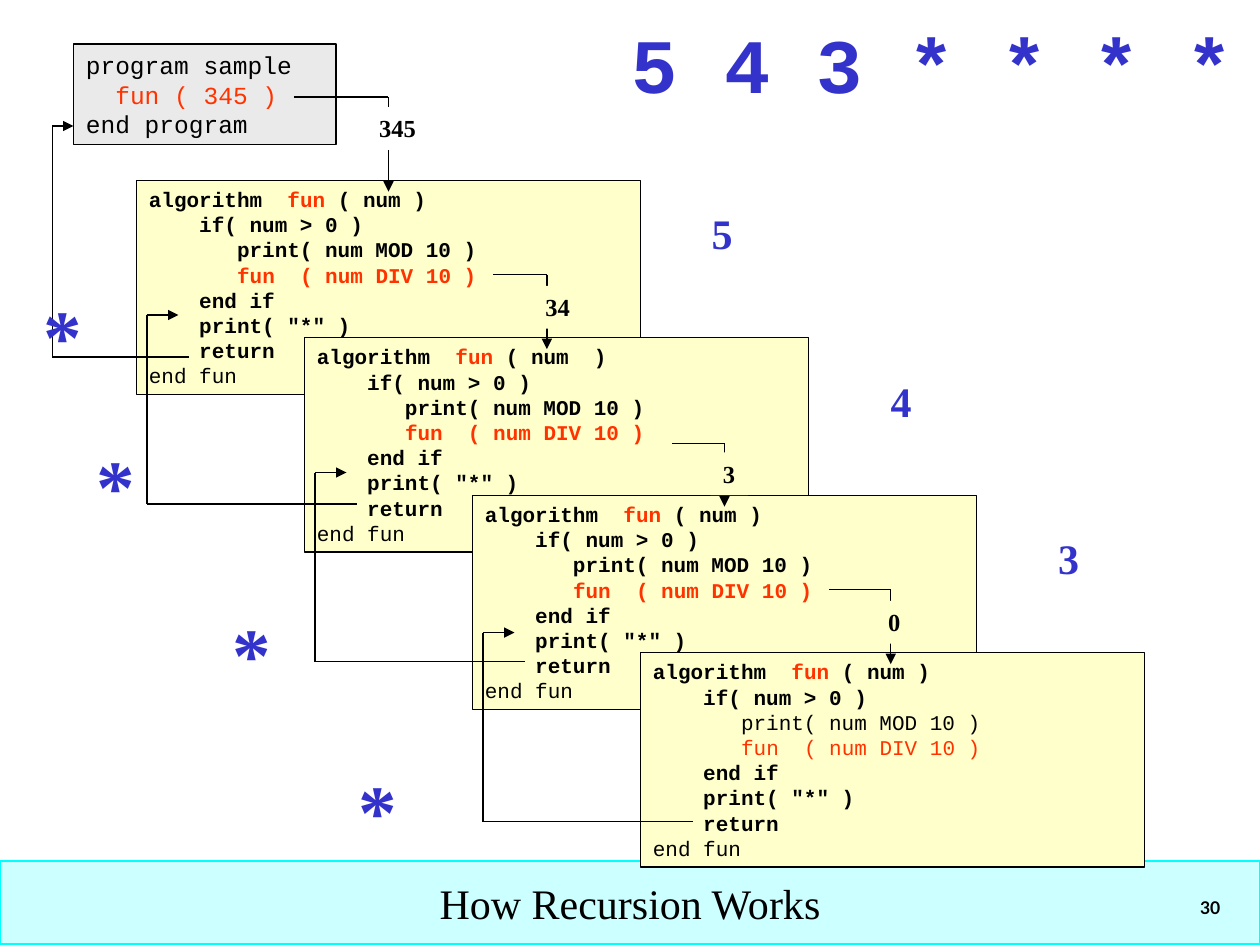
from itertools import pairwise

from lxml import etree
from pptx import Presentation
from pptx.dml.color import RGBColor
from pptx.enum import shapes, text
from pptx.oxml.ns import qn
from pptx.util import Pt

BLACK = RGBColor(0, 0, 0)
WHITE = RGBColor(0xFF, 0xFF, 0xFF)
RED = RGBColor(0xFF, 0x33, 0x00)
BLUE = RGBColor(0x33, 0x33, 0xCC)
CREAM = RGBColor(0xFF, 0xFF, 0xCC)
GREY = RGBColor(0xEA, 0xEA, 0xEA)
AQUA = RGBColor(0xCC, 0xFF, 0xFF)
CYAN = RGBColor(0x00, 0xFF, 0xFF)
SERIF, MONO, SANS = "Times New Roman", "Courier New", "Lato"

TITLE = "How Recursion Works"
PAGE_NUMBER = "30"
OUTPUT = "5 4 3 * * * *"

# A line is a list of spans: (text, colour, bold)
PROGRAM = [
    [("program sample", BLACK, False)],
    [("  ", BLACK, False), ("fun ( 345 )", RED, False)],
    [("end program", BLACK, False)],
]
FRAME_LEFT, FRAME_TOP = 78, 103
STEP_X, STEP_Y = 96, 90
FRAME_SIZE = (288, 122.4)
# Argument as written in the heading, and whether the recursive branch runs
FRAMES = [("( num )", True), ("( num  )", True), ("( num )", True), ("( num )", False)]

# Passed value, line start x, line y, arrow x, label (left, top, width), label fill
CALLS = [
    ("345", 168, 55.5, 222, (209.5, 61.2, 35.3), WHITE),
    ("34", 282, 157, 312.5, (304.6, 163.4, 28), CREAM),
    ("3", 384, 253.5, 414, (406, 258.5, 21.6), CREAM),
    ("0", 474, 337, 509, (500.4, 343.4, 21.6), CREAM),
]
# Line start y, trunk x, arrow y, arrow tip x
RETURNS = [
    (204, 30, 72, 42),
    (288, 84, 180, 102),
    (378, 180, 270, 198),
    (469.5, 276, 361.5, 294),
]
PRINTED_DIGITS = [("5", 399.6, 115.2), ("4", 501.8, 211), ("3", 597.6, 301)]
PRINTED_STARS = [(18, 161), (48, 246.6), (126, 342.4), (198, 432.4)]


def frame_code(argument, runs):
    return [
        [("algorithm  ", BLACK, True), ("fun ", RED, True), (argument, BLACK, True)],
        [("    if( num > 0 )", BLACK, True)],
        [("       print( num MOD 10 )", BLACK, runs)],
        [("       ", BLACK, runs), ("fun  ( num DIV 10 )", RED, runs)],
        [("    end if", BLACK, True)],
        [('    print( "*" )', BLACK, True)],
        [("    return", BLACK, True)],
        [("end fun", BLACK, False)],
    ]


def add_box(page, area, lines, font, size, fill=None, line=None, wrap=True,
            align=text.PP_ALIGN.LEFT, anchor=text.MSO_ANCHOR.TOP):
    """Add a rectangle, or a text box when there is no fill, holding lines of spans."""
    area = [Pt(value) for value in area]
    if fill is None:
        box = page.shapes.add_textbox(*area)
    else:
        box = page.shapes.add_shape(shapes.MSO_SHAPE.RECTANGLE, *area)
        box.shadow.inherit = False
        box.fill.solid()
        box.fill.fore_color.rgb = fill
        if line is None:
            box.line.fill.background()
        else:
            box.line.color.rgb = line
            box.line.width = Pt(0.75)
    frame = box.text_frame
    frame.word_wrap = wrap
    frame.vertical_anchor = anchor
    for index, spans in enumerate(lines):
        para = frame.add_paragraph() if index else frame.paragraphs[0]
        para.alignment = align
        for words, colour, bold in spans:
            span = para.add_run()
            span.text = words
            span.font.name = font
            span.font.size = Pt(size)
            span.font.bold = bold
            span.font.color.rgb = colour


def add_line(page, start, end, arrow=False):
    line = page.shapes.add_connector(
        shapes.MSO_CONNECTOR.STRAIGHT, *(Pt(value) for value in (*start, *end)))
    line.line.color.rgb = BLACK
    line.line.width = Pt(0.75)
    if arrow:
        etree.SubElement(line.line._get_or_add_ln(), qn("a:tailEnd"), type="triangle")
    etree.SubElement(line._element.spPr, qn("a:effectLst"))


def add_route(page, points):
    """Join the points with straight lines, the last one ending in an arrowhead."""
    for start, end in pairwise(points):
        add_line(page, start, end, arrow=end == points[-1])


def main():
    deck = Presentation()
    deck.slide_width, deck.slide_height = Pt(720), Pt(540)
    page = deck.slides.add_slide(deck.slide_layouts[6])

    add_box(page, (0, 492, 720, 47.5), [[(TITLE, BLACK, False)]], SERIF, 24, AQUA, CYAN,
            align=text.PP_ALIGN.CENTER, anchor=text.MSO_ANCHOR.MIDDLE)
    add_box(page, (42, 25.2, 150, 57.6), PROGRAM, MONO, 14, GREY, BLACK)

    for index, (frame, call) in enumerate(zip(FRAMES, CALLS)):
        left, top = FRAME_LEFT + index * STEP_X, FRAME_TOP + index * STEP_Y
        add_box(page, (left, top, *FRAME_SIZE), frame_code(*frame), MONO, 12, CREAM, BLACK)
        value, start_x, line_y, arrow_x, (label_x, label_y, label_width), fill = call
        add_route(page, [(start_x, line_y), (arrow_x, line_y), (arrow_x, top + 6.5)])
        add_box(page, (label_x, label_y, label_width, 24.5), [[(value, BLACK, True)]],
                SERIF, 14, fill, wrap=False)

    for index, (start_y, trunk_x, arrow_y, tip_x) in enumerate(RETURNS):
        start_x = FRAME_LEFT + index * STEP_X + 30
        add_route(page, [(start_x, start_y), (trunk_x, start_y),
                         (trunk_x, arrow_y), (tip_x, arrow_y)])

    for digit, left, top in PRINTED_DIGITS:
        add_box(page, (left, top, 26, 36), [[(digit, BLUE, True)]], SERIF, 24, wrap=False)
    for left, top in PRINTED_STARS:
        add_box(page, (left, top, 55, 60.8), [[("*", BLUE, True)]], SERIF, 44)
    add_box(page, (354, 6, 360, 60.5), [[(OUTPUT, BLUE, True)]], MONO, 44)
    add_box(page, (554.4, 492, 150, 36), [[(PAGE_NUMBER, BLACK, True)]], SANS, 10,
            align=text.PP_ALIGN.RIGHT, anchor=text.MSO_ANCHOR.BOTTOM)

    deck.save("out.pptx")


if __name__ == "__main__":
    main()
